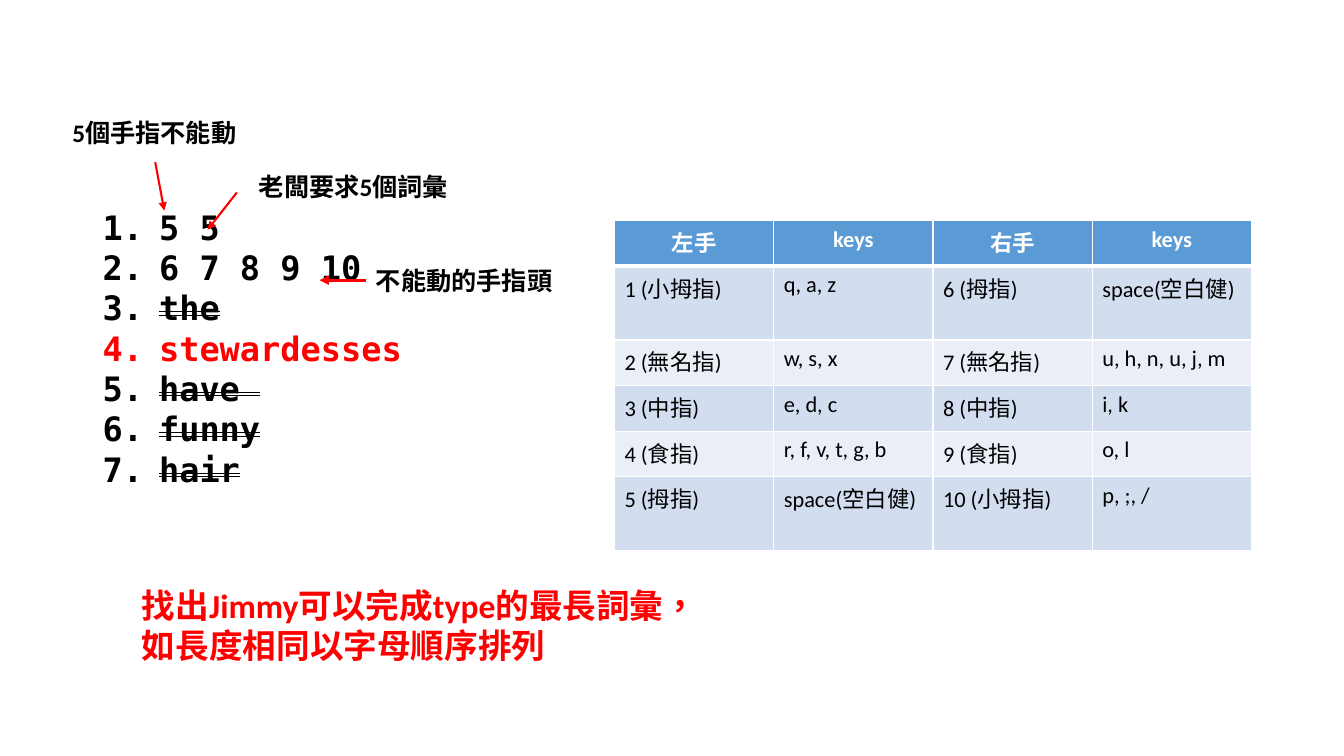
from lxml.etree import SubElement
from pptx import Presentation
from pptx.dml.color import RGBColor as Rgb
from pptx.enum.shapes import MSO_CONNECTOR as Connector
from pptx.enum.text import PP_ALIGN as Align
from pptx.oxml.ns import qn
from pptx.util import Inches, Pt

# Grid of square cells: 160 columns by 90 rows
CELL = Inches(13.33) / 160
COLORS = {"ink": "000000", "accent": "FF0000", "white": "FFFFFF",
          "header": "5B9BD5", "odd": "D2DEEF", "even": "EAEFF7"}
BODY, MONO = "Calibri", "DejaVu Sans Mono"

WORDS = [("5 5", "ink", False), ("6 7 8 9 10", "ink", False),
         ("the", "ink", True), ("stewardesses", "accent", False),
         ("have ", "ink", True), ("funny", "ink", True), ("hair", "ink", True)]
SPACEBAR = "space(空白健)"
FINGER_KEYS = [
    ("左手", "keys", "右手", "keys"),
    ("1 (小拇指)", "q, a, z", "6 (拇指)", SPACEBAR),
    ("2 (無名指)", "w, s, x", "7 (無名指)", "u, h, n, u, j, m"),
    ("3 (中指)", "e, d, c", "8 (中指)", "i, k"),
    ("4 (食指)", "r, f, v, t, g, b", "9 (食指)", "o, l"),
    ("5 (拇指)", SPACEBAR, "10 (小拇指)", "p, ;, /"),
]
# Height of a two-line row relative to a one-line row
TALL_ROW = 1.62
# Text, box, arrow start and end relative to the box, arrow weight
NOTES = [
    ("不能動的手指頭", (43.56, 30.96, 23.64, 4.8), (0, 2.4), (-5.52, 2.4), 2.25),
    ("5個手指不能動", (7.44, 13.44, 22.08, 4.8), (11.04, 5.88), (12.12, 11.64), 1.5),
    ("老闆要求5個詞彙", (29.64, 19.8, 25.2, 4.8), (-1.44, 3.12), (-4.92, 7.56), 1.5),
]
TASK = ["找出Jimmy可以完成type的最長詞彙，", "如長度相同以字母順序排列"]


def grid(*cells):
    """Turn grid cells into slide lengths."""
    return [round(cell * CELL) for cell in cells]


def add_run(paragraph, text, size, color, bold=True, face=BODY):
    """Add one formatted run and return it."""
    run = paragraph.add_run()
    run.text = text
    run.font.size, run.font.bold, run.font.name = Pt(size), bold, face
    run.font.color.rgb = Rgb.from_string(COLORS[color])
    run._r.get_or_add_rPr().set("lang", "zh-TW")
    return run


def add_paragraphs(slide, box, count):
    """Add a wrapping text box and return its paragraphs."""
    frame = slide.shapes.add_textbox(*grid(*box)).text_frame
    frame.word_wrap = True
    for _ in range(count - 1):
        frame.add_paragraph()
    return frame.paragraphs


def add_word_list(slide, box):
    """Number the input lines, striking out the words that cannot be typed."""
    for line, (word, color, struck) in zip(add_paragraphs(slide, box, len(WORDS)), WORDS):
        line.line_spacing = Pt(28.8)
        props = line._p.get_or_add_pPr()
        indent = Inches(0.56)
        props.set("marL", str(indent))
        props.set("indent", str(-indent))
        SubElement(props, qn("a:buFont"), typeface=MONO)
        SubElement(props, qn("a:buAutoNum"), type="arabicPeriod")
        run = add_run(line, word, 24, color, face=MONO)
        if struck:
            run._r.get_or_add_rPr().set("strike", "dblStrike")


def add_borders(cell, bottom_weight):
    """Draw white borders around a table cell."""
    props = cell._tc.get_or_add_tcPr()
    for place, (side, weight) in enumerate(
            [("lnL", 1), ("lnR", 1), ("lnT", 1), ("lnB", bottom_weight)]):
        border = props.makeelement(qn(f"a:{side}"), {"w": str(Pt(weight))})
        fill = SubElement(border, qn("a:solidFill"))
        SubElement(fill, qn("a:srgbClr"), val=COLORS["white"])
        props.insert(place, border)


def add_finger_table(slide, box):
    """Show which keys each finger presses, with taller rows for the spacebar."""
    rows, columns = len(FINGER_KEYS), len(FINGER_KEYS[0])
    table = slide.shapes.add_table(rows, columns, *grid(*box)).table
    shares = [TALL_ROW if SPACEBAR in entries else 1 for entries in FINGER_KEYS]
    for r, entries in enumerate(FINGER_KEYS):
        table.rows[r].height = grid(box[3] * shares[r] / sum(shares))[0]
        heading = r == 0
        band = "header" if heading else "odd" if r % 2 else "even"
        for c, entry in enumerate(entries):
            cell = table.cell(r, c)
            cell.fill.solid()
            cell.fill.fore_color.rgb = Rgb.from_string(COLORS[band])
            add_borders(cell, 3 if heading else 1)
            line = cell.text_frame.paragraphs[0]
            line.alignment = Align.CENTER if heading else Align.LEFT
            add_run(line, entry, 16, "white" if heading else "ink", heading)


def add_note(slide, box, text, start, end, weight):
    """Place a note and its arrow towards the input it explains."""
    add_run(add_paragraphs(slide, box, 1)[0], text, 18, "ink")
    left, top = box[:2]
    ends = [(left + x, top + y) for x, y in (start, end)]
    arrow = slide.shapes.add_connector(Connector.STRAIGHT, *grid(*ends[0], *ends[1]))
    arrow.line.color.rgb = Rgb.from_string(COLORS["accent"])
    arrow.line.width = Pt(weight)
    SubElement(arrow.line._get_or_add_ln(), qn("a:tailEnd"), type="triangle")
    SubElement(arrow._element.spPr, qn("a:effectLst"))


def add_task(slide, box):
    """State the task in red."""
    for line, text in zip(add_paragraphs(slide, box, len(TASK)), TASK):
        add_run(line, text, 24, "accent")


def build():
    """Build and save the slide."""
    deck = Presentation()
    deck.slide_width, deck.slide_height = Inches(13.33), Inches(7.5)
    slide = deck.slides.add_slide(deck.slide_layouts[6])
    add_word_list(slide, (11.04, 24, 68.04, 57.12))
    add_finger_table(slide, (73.15, 26.28, 75.84, 39.3))
    for text, box, start, end, weight in NOTES:
        add_note(slide, box, text, start, end, weight)
    add_task(slide, (15.72, 69, 69.12, 10.92))
    deck.save("out.pptx")


build()
